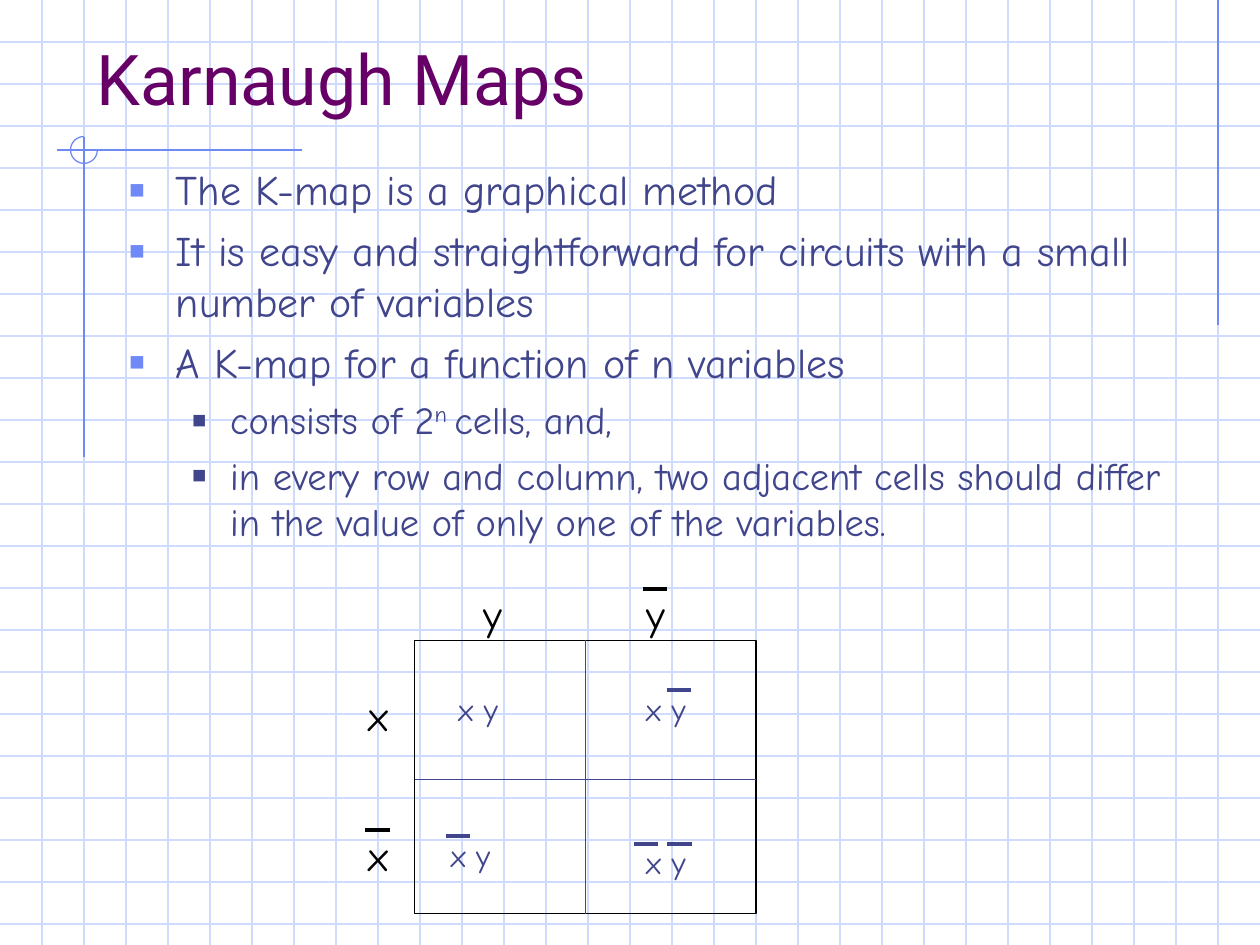
from lxml import etree
from pptx import Presentation
from pptx.dml.color import RGBColor
from pptx.enum.shapes import MSO_CONNECTOR, MSO_SHAPE
from pptx.enum.text import MSO_ANCHOR, MSO_AUTO_SIZE, PP_ALIGN
from pptx.oxml.ns import qn
from pptx.util import Inches, Pt

LINE = MSO_CONNECTOR.STRAIGHT
ARC, RECT = MSO_SHAPE.ARC, MSO_SHAPE.RECTANGLE
TOP, BOTTOM = MSO_ANCHOR.TOP, MSO_ANCHOR.BOTTOM
LEFT, FIXED = PP_ALIGN.LEFT, MSO_AUTO_SIZE.NONE

HEAD, HAND = "Roboto", "Comic Neue"
PALE, BLUE, INK, PLUM, BLACK = "CFDBFD", "6F89F7", "40458C", "660066", "000000"

# The slide is ruled in squares, three to the inch
COLS, ROWS = 30, 22.5

# Body text: level, runs (every second run is raised)
POINTS = [
    (0, ["The K-map is a graphical method"]),
    (0, ["It is easy and straightforward for circuits with a small "
         "number of variables"]),
    (0, ["A K-map for a function of n variables"]),
    (1, ["consists of 2", "n ", "cells, and,"]),
    (1, ["in every row and column, two adjacent cells should differ "
         "in the value of only one of the variables."]),
]
# Per level: size, space before, left indent, hanging indent, bullet colour
LEVELS = [(24, 6, 0.38, 0.38, BLUE), (22, 5.5, 0.81, 0.31, INK)]

# Map text: column, row, text, starts of the bars over it
LABELS = [(-1.38, 1.02, "x", []), (-1.38, 4.35, "x", [0.21]),
          (1.35, -1.38, "y", []), (5.22, -1.38, "y", [0.21])]
CELLS = [(0.75, 1.02, "x y", []), (5.22, 1.02, "x y", [0.78]),
         (0.57, 4.5, "x y", [0.18]), (5.22, 4.68, "x y", [0, 0.8])]


def unit(n):
    return Inches(n / 3)


def rgb(code):
    return RGBColor.from_string(code)


def place(shape, box):
    shape.left, shape.top, shape.width, shape.height = map(unit, box)


def style(font, name, size, color):
    font.name, font.size = name, Pt(size)
    font.color.rgb = rgb(color)


def rule(slide, x1, y1, x2, y2, color, width=0.75):
    line = slide.shapes.add_connector(LINE, *map(unit, (x1, y1, x2, y2)))
    line.line.color.rgb = rgb(color)
    line.line.width = Pt(width)
    etree.SubElement(line.element.spPr, qn("a:effectLst"))


def outline(slide, kind, box, color):
    shape = slide.shapes.add_shape(kind, *map(unit, box))
    shape.shadow.inherit = False
    shape.fill.background()
    shape.line.color.rgb = rgb(color)
    shape.line.width = Pt(0.75)
    return shape


def bullet(para, left, hang, color):
    props = para._p.get_or_add_pPr()
    props.set("marL", str(Inches(left)))
    props.set("indent", str(-Inches(hang)))
    tint = etree.SubElement(props, qn("a:buClr"))
    etree.SubElement(tint, qn("a:srgbClr"), val=color)
    etree.SubElement(props, qn("a:buSzPct"), val="120000")
    etree.SubElement(props, qn("a:buFont"), typeface="Arial")
    etree.SubElement(props, qn("a:buChar"), char="▪")


def paper(slide, cols, rows):
    # Ruled squares
    for row in range(1, int(rows) + 1):
        rule(slide, 0, row, cols, row, PALE)
    for col in range(1, cols):
        rule(slide, col, 0, col, rows, PALE)
    # Margin lines with the corner ring
    rule(slide, cols - 1, 0, cols - 1, 7.75, BLUE)
    rule(slide, 7.2, 3.57, 1.35, 3.57, BLUE)
    rule(slide, 2, 3.27, 2, 10.88, BLUE)
    ring = outline(slide, ARC, (1.68, 3.25, 0.64, 0.64), BLUE)
    ring.adjustments[0] = 0
    ring.adjustments[1] = 162  # 270 degrees, in units of 100000/60000


def lift(shape):
    # Bring in front of the ruled paper
    shape.element.getparent().append(shape.element)


def title(slide, box):
    head = slide.shapes.title
    lift(head)
    place(head, box)
    frame = head.text_frame
    frame.text = "Karnaugh Maps"
    frame.vertical_anchor, frame.auto_size = BOTTOM, FIXED
    para = frame.paragraphs[0]
    para.alignment = LEFT
    style(para.font, HEAD, 40, PLUM)


def body(slide, box):
    hold = slide.placeholders[1]
    lift(hold)
    place(hold, box)
    frame = hold.text_frame
    frame.vertical_anchor, frame.auto_size = TOP, FIXED
    for i, (level, runs) in enumerate(POINTS):
        para = frame.add_paragraph() if i else frame.paragraphs[0]
        size, gap, left, hang, color = LEVELS[level]
        para.level = level
        bullet(para, left, hang, color)
        para.space_before = Pt(gap if i else 0)
        style(para.font, HAND, size, INK)
        for j, text in enumerate(runs):
            run = para.add_run()
            run.text = text
            if j % 2:
                run._r.get_or_add_rPr().set("baseline", "30000")


def term(slide, x, y, wide, text, bars, size, color):
    note = slide.shapes.add_textbox(*map(unit, (x, y, wide, size / 16)))
    frame = note.text_frame
    frame.word_wrap = True
    frame.text = text
    style(frame.paragraphs[0].font, HAND, size, color)
    for bar in bars:
        rule(slide, x + bar, y + 0.16, x + bar + 0.58, y + 0.16, color, 2.25)


def kmap(slide, box):
    x, y, w, h = box
    # Frame and dividers
    outline(slide, RECT, box, BLACK)
    rule(slide, x + w / 2, y, x + w / 2, y + h, INK)
    rule(slide, x, y + h * 0.51, x + w, y + h * 0.51, INK)
    # Row and column labels, then cell terms
    for items, wide, size, color in ((LABELS, 1.56, 24, BLACK),
                                     (CELLS, 2.1, 18, INK)):
        for dx, dy, text, bars in items:
            term(slide, x + dx, y + dy, wide, text, bars, size, color)


def main():
    deck = Presentation()
    deck.slide_width, deck.slide_height = unit(COLS), unit(ROWS)
    slide = deck.slides.add_slide(deck.slide_layouts[1])
    paper(slide, COLS, ROWS)
    title(slide, (2, 1, 27, 2))
    body(slide, (2.75, 3.75, 25.5, 16.25))
    kmap(slide, (9.87, 15.25, 8.13, 6.5))
    deck.save("out.pptx")


if __name__ == "__main__":
    main()
